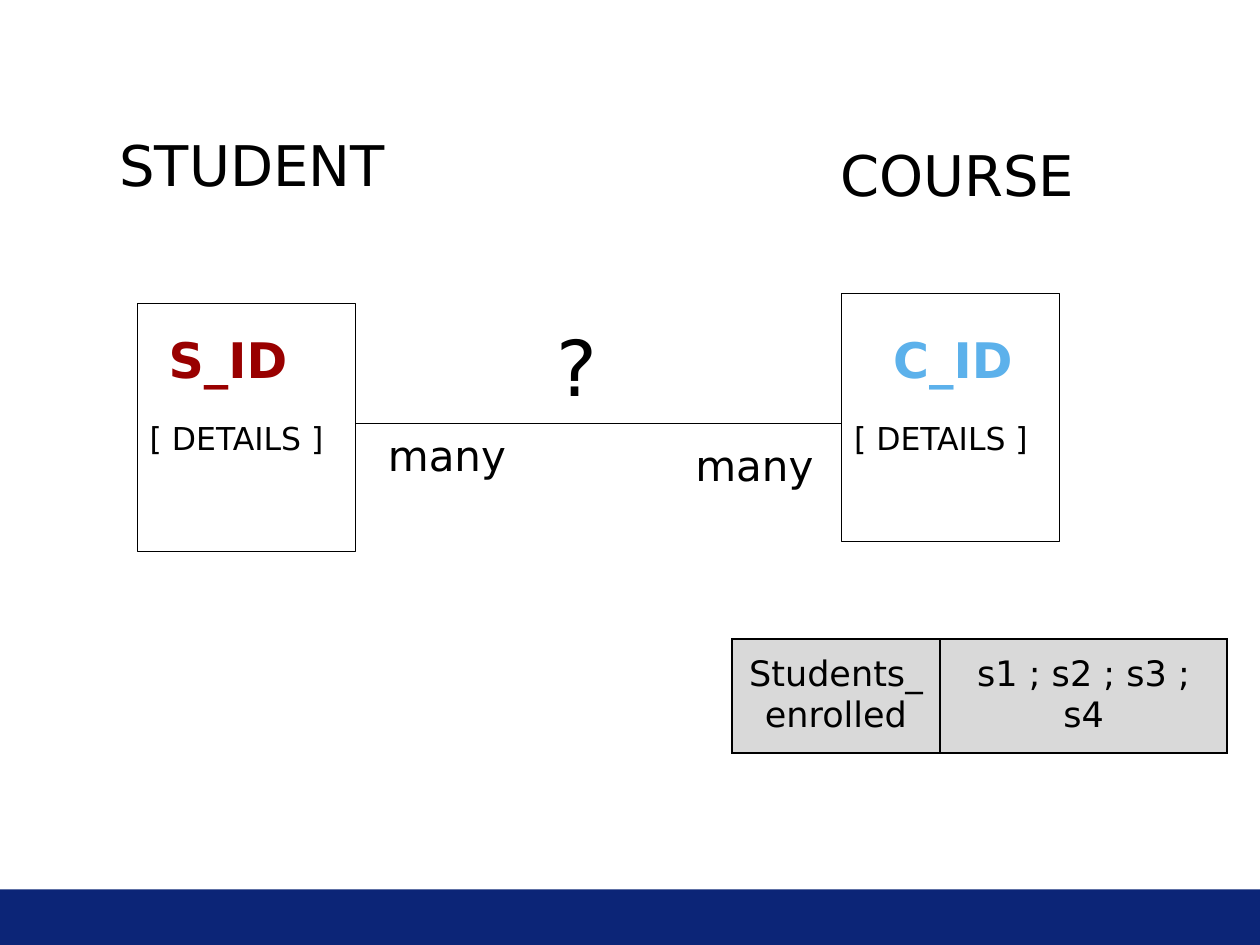
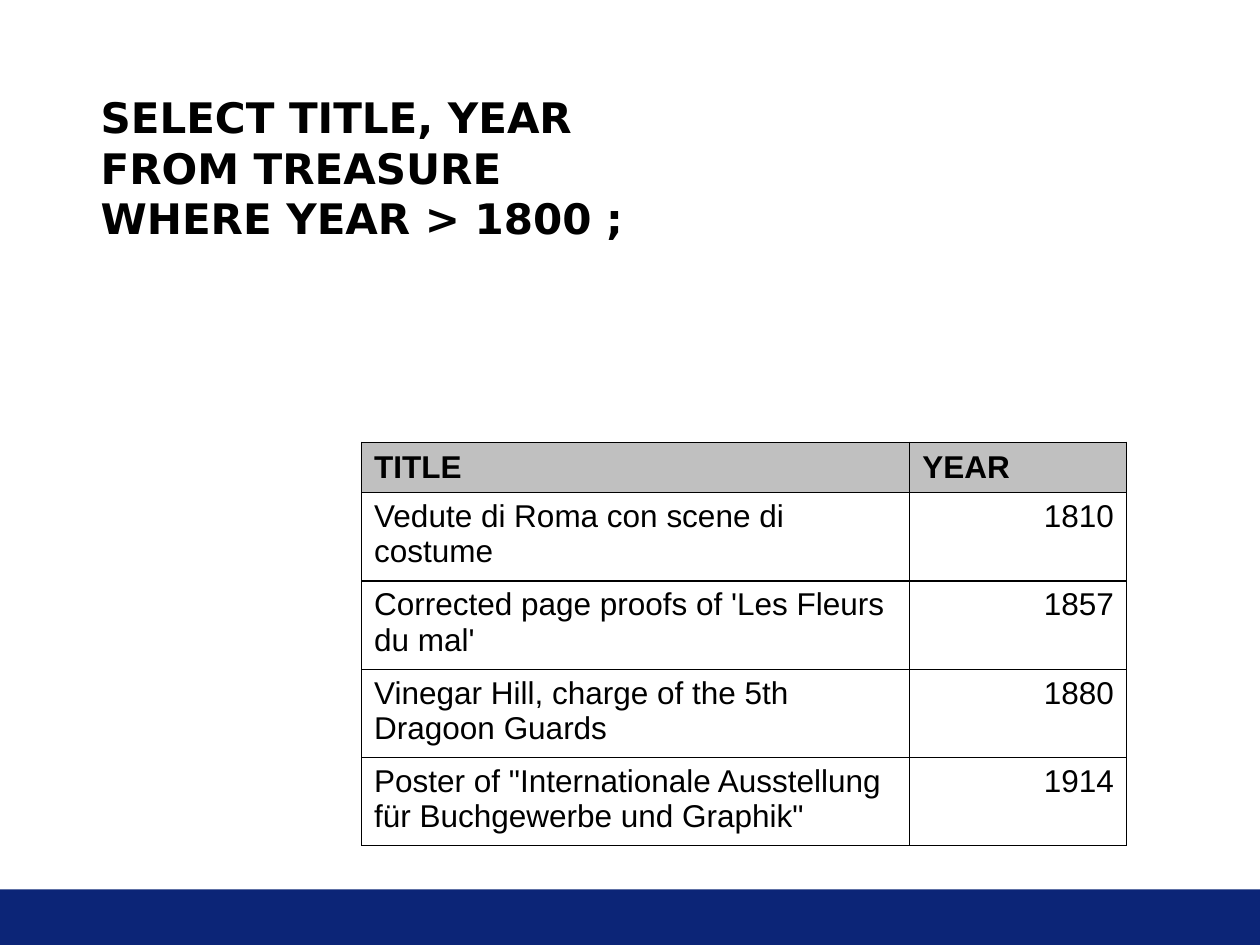
from dataclasses import dataclass

from lxml.etree import SubElement
from pptx import Presentation
from pptx.dml.color import RGBColor
from pptx.enum.shapes import MSO_CONNECTOR, MSO_SHAPE
from pptx.enum.text import MSO_ANCHOR, MSO_AUTO_SIZE, PP_ALIGN
from pptx.oxml.ns import qn
from pptx.util import Inches, Pt

COLOURS = {
    "band": "0C2577",
    "ink": "000000",
    "student": "990000",
    "course": "5CB1EB",
    "paper": "FFFFFF",
    "header": "C0C0C0",
    "enrolled": "D9D9D9",
}
COLUMNS, ROWS = 100, 75
UNIT = Inches(10) / COLUMNS
DIAGRAM_FONT, TABLE_FONT = "DejaVu Sans", "Arial"
TREASURES = [
    ("TITLE", "YEAR"),
    ("Vedute di Roma con scene di costume", "1810"),
    ("Corrected page proofs of 'Les Fleurs du mal'", "1857"),
    ("Vinegar Hill, charge of the 5th Dragoon Guards", "1880"),
    ("Poster of \"Internationale Ausstellung für Buchgewerbe und Graphik\"", "1914"),
]


def grid(count):
    """Turn a count of grid units into a length."""
    return round(count * UNIT)


def rgb(name):
    """Look up a colour of the palette."""
    return RGBColor.from_string(COLOURS[name])


@dataclass
class Box:
    """A region of the slide, in grid columns and rows."""

    left: float
    top: float
    width: float
    height: float

    def inside(self, left, top, width, height):
        """Give a box placed relative to this one's corner."""
        return Box(self.left + left, self.top + top, width, height)

    def lengths(self):
        """Give left, top, width and height as lengths."""
        return [grid(n) for n in (self.left, self.top, self.width, self.height)]


PAGE = Box(0, 0, COLUMNS, ROWS)


def style_paragraph(para, size, colour="ink", bold=False, font=DIAGRAM_FONT):
    """Set the font of a whole paragraph."""
    para.font.name = font
    para.font.size = Pt(size)
    para.font.bold = bold
    para.font.color.rgb = rgb(colour)


def add_text(page, box, lines, size, colour="ink", bold=False):
    """Place a text box with one paragraph for each line."""
    frame = page.shapes.add_textbox(*box.lengths()).text_frame
    frame.word_wrap = True
    frame.auto_size = MSO_AUTO_SIZE.SHAPE_TO_FIT_TEXT
    frame.text = "\n".join(lines)
    for para in frame.paragraphs:
        style_paragraph(para, size, colour, bold)


def add_rectangle(page, box, fill=None):
    """Place a filled rectangle, or an outlined one if it has no fill."""
    shape = page.shapes.add_shape(MSO_SHAPE.RECTANGLE, *box.lengths())
    shape.shadow.inherit = False
    if fill:
        shape.fill.solid()
        shape.fill.fore_color.rgb = rgb(fill)
        shape.line.fill.background()
    else:
        shape.fill.background()
        shape.line.color.rgb = rgb("ink")
        shape.line.width = Pt(0.75)


def add_page(deck):
    """Add a blank slide with the footer band."""
    page = deck.slides.add_slide(deck.slide_layouts[6])
    add_rectangle(page, PAGE.inside(0, 70.6, COLUMNS, 4.4), "band")
    return page


def add_entity(page, card, name, name_box, key, key_box, colour, details_row):
    """Draw an entity card with its name, key and details."""
    add_rectangle(page, card)
    add_text(page, name_box, [name], 32)
    add_text(page, key_box, [key], 28, colour, bold=True)
    add_text(page, card.inside(0, details_row, 22, 4), ["[ DETAILS ]"], 18)


def add_relation(page, box):
    """Draw the line between the entities with its labels."""
    left, top, width, _ = box.lengths()
    line = page.shapes.add_connector(MSO_CONNECTOR.STRAIGHT, left, top, left + width, top)
    line.line.color.rgb = rgb("ink")
    line.line.width = Pt(0.75)
    SubElement(line._element.spPr, qn("a:effectLst"))
    add_text(page, box.inside(15, -8.7, 17.3, 8.3), ["?"], 44)
    add_text(page, box.inside(1.6, 0, 14.2, 5), ["many"], 24)
    add_text(page, box.inside(26, 0.8, 14.2, 5), ["many"], 24)


def set_borders(cell, points):
    """Draw a thin line on all four sides of a cell."""
    properties = cell._tc.get_or_add_tcPr()
    for side in ("lnL", "lnR", "lnT", "lnB"):
        border = SubElement(properties, qn(f"a:{side}"), w=str(Pt(points)))
        fill = SubElement(border, qn("a:solidFill"))
        SubElement(fill, qn("a:srgbClr"), val=COLOURS["ink"])


def add_grid_table(page, box, widths, heights, rows, border, style_cell):
    """Place a table and let style_cell finish each of its cells."""
    table = page.shapes.add_table(len(rows), len(widths), *box.lengths()).table
    table.first_row = table.horz_banding = False
    for column, width in zip(table.columns, widths):
        column.width = grid(width)
    for row, height in zip(table.rows, heights):
        row.height = grid(height)
    for row_index, texts in enumerate(rows):
        for column_index, text in enumerate(texts):
            cell = table.cell(row_index, column_index)
            cell.text = text
            set_borders(cell, border)
            cell.fill.solid()
            style_cell(cell, row_index, column_index)


def style_enrolment(cell, row, column):
    """Style a cell of the enrolment table."""
    cell.fill.fore_color.rgb = rgb("enrolled")
    cell.margin_top = cell.margin_bottom = grid(1.2)
    para = cell.text_frame.paragraphs[0]
    para.alignment = PP_ALIGN.CENTER
    style_paragraph(para, 20)


def style_treasure(cell, row, column):
    """Style a header or body cell of the query result."""
    header = row == 0
    cell.fill.fore_color.rgb = rgb("header" if header else "paper")
    cell.vertical_anchor = MSO_ANCHOR.MIDDLE if header else MSO_ANCHOR.TOP
    para = cell.text_frame.paragraphs[0]
    para.alignment = PP_ALIGN.RIGHT if column and not header else PP_ALIGN.LEFT
    style_paragraph(para, 18, bold=header, font=TABLE_FONT)


def build_relation_slide(deck):
    """Build the slide on the many-to-many relation."""
    page = add_page(deck)
    student = PAGE.inside(10.9, 24.1, 17.3, 19.7)
    course = PAGE.inside(66.8, 23.3, 17.3, 19.7)
    add_entity(page, student, "STUDENT", student.inside(-2.4, -14.2, 23.6, 6.3),
               "S_ID", student.inside(1.5, 1.6, 15.7, 5.7), "student", 8.7)
    add_entity(page, course, "COURSE", course.inside(-1.1, -12.6, 27.6, 6.3),
               "C_ID", course.inside(3.1, 2.4, 14.2, 5.7), "course", 9.5)
    start = student.left + student.width
    add_relation(page, PAGE.inside(start, 33.6, course.left - start, 0))
    add_grid_table(page, PAGE.inside(58.1, 50.7, 39.4, 9), (16.5, 22.8), (9,),
                   [("Students_enrolled", "s1 ; s2 ; s3 ; s4")], 1, style_enrolment)


def build_query_slide(deck):
    """Build the slide with a query and its result."""
    page = add_page(deck)
    query = ["SELECT TITLE, YEAR", "FROM TREASURE", "WHERE YEAR > 1800 ;"]
    add_text(page, PAGE.inside(7, 6.8, 74.5, 13), query, 24, bold=True)
    heights = [4] + [7] * (len(TREASURES) - 1)
    add_grid_table(page, PAGE.inside(28.7, 35.1, 60.6, sum(heights)), (43.5, 17.2),
                   heights, TREASURES, 0.75, style_treasure)


def main():
    """Build and save the deck."""
    deck = Presentation()
    deck.slide_width, deck.slide_height = grid(COLUMNS), grid(ROWS)
    build_relation_slide(deck)
    build_query_slide(deck)
    deck.save("out.pptx")


if __name__ == "__main__":
    main()
